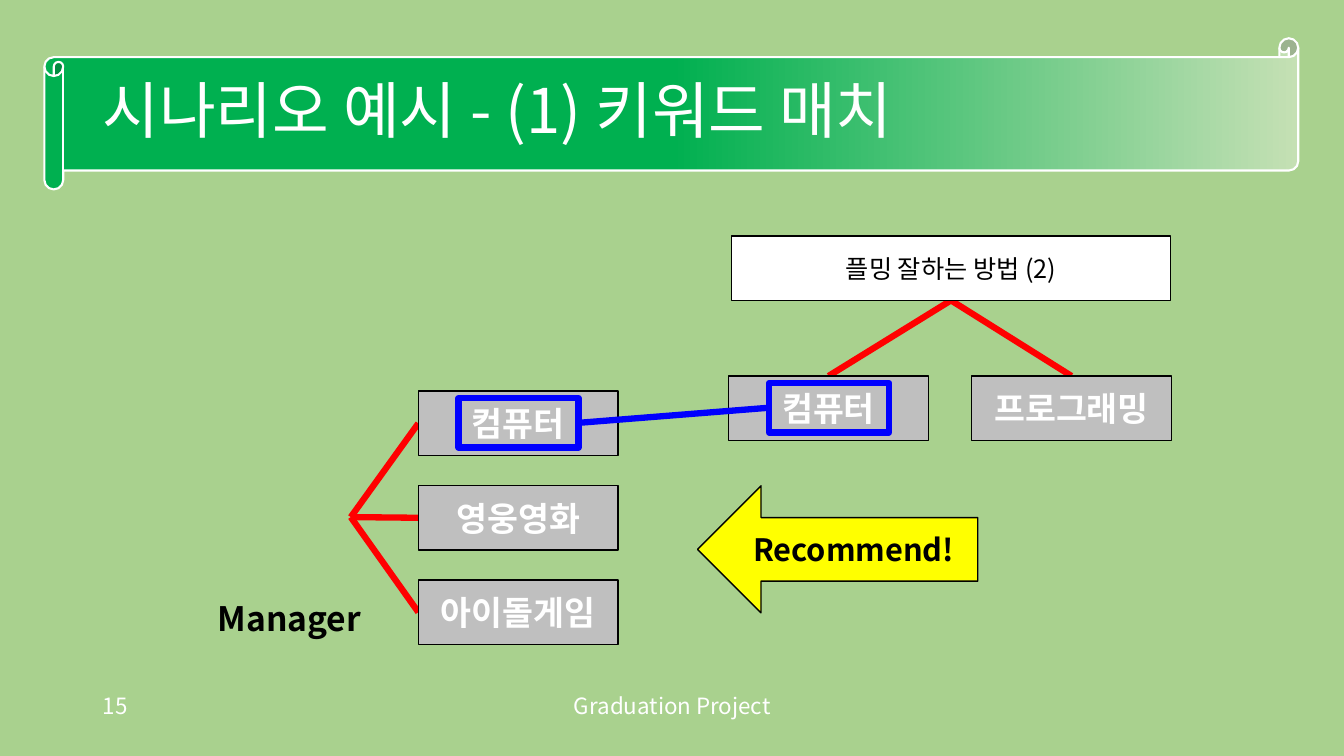
from copy import deepcopy

from lxml.etree import SubElement
from pptx import Presentation
from pptx.dml.color import RGBColor
from pptx.enum.shapes import MSO_CONNECTOR, MSO_SHAPE
from pptx.enum.text import MSO_ANCHOR, PP_ALIGN
from pptx.oxml.ns import qn
from pptx.util import Inches, Pt

FONT = "Noto Sans CJK KR"
COLUMNS, ROWS = 40, 22.5
CELL = Inches(1) / 3
NODE_WIDTH, NODE_HEIGHT = 5.94, 1.92
FRAME_LEFT, FRAME_TOP, FRAME_WIDTH, FRAME_HEIGHT = 1.2, 0.21, 3.57, 1.47
COLORS = {
    "background": "A9D18E",
    "banner_light": "C5E0B4",
    "banner": "00B050",
    "white": "FFFFFF",
    "black": "000000",
    "keyword": "BFBFBF",
    "branch": "FF0000",
    "match": "0000FF",
    "recommend": "FFFF00",
}


def cells(*counts):
    """Convert grid cells to slide lengths."""
    return [round(count * CELL) for count in counts]


def color(name):
    """Look up a named colour."""
    return RGBColor.from_string(COLORS[name])


def write(shape, text, size=24, ink="white", bold=False, align=PP_ALIGN.CENTER,
          anchor=MSO_ANCHOR.MIDDLE, wrap=True, line_spacing=None):
    """Put one formatted paragraph into a shape."""
    frame = shape.text_frame
    frame.word_wrap = wrap
    frame.vertical_anchor = anchor
    paragraph = frame.paragraphs[0]
    paragraph.alignment = align
    paragraph.line_spacing = line_spacing
    run = paragraph.add_run()
    run.text = text
    run.font.size = Pt(size)
    run.font.bold = bold
    run.font.name = FONT
    run.font.color.rgb = color(ink)
    SubElement(run.font._element, qn("a:ea"), typeface=FONT)


def add_label(slide, box, text, **text_format):
    """Add a text box."""
    write(slide.shapes.add_textbox(*cells(*box)), text, **text_format)


def add_block(slide, kind, box, fill=None, line="black", width=1):
    """Add a preset shape with a flat fill and outline."""
    shape = slide.shapes.add_shape(kind, *cells(*box))
    shape.shadow.inherit = False
    if fill:
        shape.fill.solid()
        shape.fill.fore_color.rgb = color(fill)
    else:
        shape.fill.background()
    shape.line.color.rgb = color(line)
    shape.line.width = Pt(width)
    return shape


def add_link(slide, start, end, line):
    """Draw a thick straight line between two points."""
    link = slide.shapes.add_connector(MSO_CONNECTOR.STRAIGHT, *cells(*start, *end))
    link.line.color.rgb = color(line)
    link.line.width = Pt(4.5)
    SubElement(link._element.spPr, qn("a:effectLst"))


def add_banner(slide):
    """Add the scroll that fades out to the right."""
    banner = add_block(slide, MSO_SHAPE.HORIZONTAL_SCROLL, (1.32, 1.14, 37.32, 4.5),
                       line="white", width=1.5)
    banner.fill.gradient()
    banner.fill.gradient_angle = 180
    for stop, name, position in zip(banner.fill.gradient_stops,
                                    ("banner_light", "banner"), (0, 1)):
        stop.color.rgb = color(name)
        stop.position = position
    last = banner._element.spPr.find(".//" + qn("a:gsLst"))[-1]
    middle = deepcopy(last)
    middle.set("pos", "50000")
    last.addprevious(middle)


def add_keyword(slide, left, top, text):
    """Add a grey keyword box."""
    shape = add_block(slide, MSO_SHAPE.RECTANGLE,
                      (left, top, NODE_WIDTH, NODE_HEIGHT), "keyword")
    write(shape, text, bold=True)


def add_match(slide, first, second):
    """Frame the shared keyword in two boxes and join the frames."""
    for left, top in (first, second):
        add_block(slide, MSO_SHAPE.RECTANGLE,
                  (left + FRAME_LEFT, top + FRAME_TOP, FRAME_WIDTH, FRAME_HEIGHT),
                  line="match", width=4.5)
    middle = FRAME_TOP + FRAME_HEIGHT / 2
    add_link(slide, (second[0] + FRAME_LEFT, second[1] + middle),
             (first[0] + FRAME_LEFT + FRAME_WIDTH, first[1] + middle), "match")


def main():
    """Build and save the slide."""
    presentation = Presentation()
    presentation.slide_width, presentation.slide_height = cells(COLUMNS, ROWS)
    slide = presentation.slides.add_slide(presentation.slide_layouts[6])
    slide.background.fill.solid()
    slide.background.fill.fore_color.rgb = color("background")

    add_banner(slide)
    add_label(slide, (2.76, 1.2, 34.5, 4.35), "시나리오 예시 - (1) 키워드 매치",
              size=44, align=PP_ALIGN.LEFT, line_spacing=0.9)
    add_label(slide, (13.26, 20.46, 13.5, 1.2), "Graduation Project",
              size=16, anchor=MSO_ANCHOR.TOP)
    add_label(slide, (2.76, 20.46, 9, 1.2), "15",
              size=16, align=PP_ALIGN.LEFT, anchor=MSO_ANCHOR.TOP)

    post_left, post_top, post_width = 21.78, 7.02, 13.05
    post_foot = (post_left + post_width / 2, post_top + NODE_HEIGHT)
    post_keyword = (21.69, 11.19)
    for index, text in enumerate(("컴퓨터", "프로그래밍")):
        left, top = post_keyword[0] + index * 7.23, post_keyword[1]
        add_link(slide, post_foot, (left + NODE_WIDTH / 2, top), "branch")
        add_keyword(slide, left, top, text)
    post = add_block(slide, MSO_SHAPE.RECTANGLE,
                     (post_left, post_top, post_width, NODE_HEIGHT), "white")
    write(post, "플밍 잘하는 방법 (2)", size=18, ink="black")

    manager_hub = (10.44, 15.39)
    manager_keyword = (12.45, 11.64)
    for index, text in enumerate(("컴퓨터", "영웅영화", "아이돌게임")):
        left, top = manager_keyword[0], manager_keyword[1] + index * 2.81
        add_link(slide, (left, top + NODE_HEIGHT / 2), manager_hub, "branch")
        add_keyword(slide, left, top, text)

    add_match(slide, manager_keyword, post_keyword)
    arrow = add_block(slide, MSO_SHAPE.LEFT_ARROW, (20.76, 14.46, 8.34, 3.78),
                      "recommend")
    write(arrow, "Recommend!", size=22, ink="black", bold=True)
    add_label(slide, (6.18, 17.64, 4.89, 1.5), "Manager", ink="black", bold=True,
              align=PP_ALIGN.LEFT, anchor=MSO_ANCHOR.TOP, wrap=False)
    presentation.save("out.pptx")


if __name__ == "__main__":
    main()
